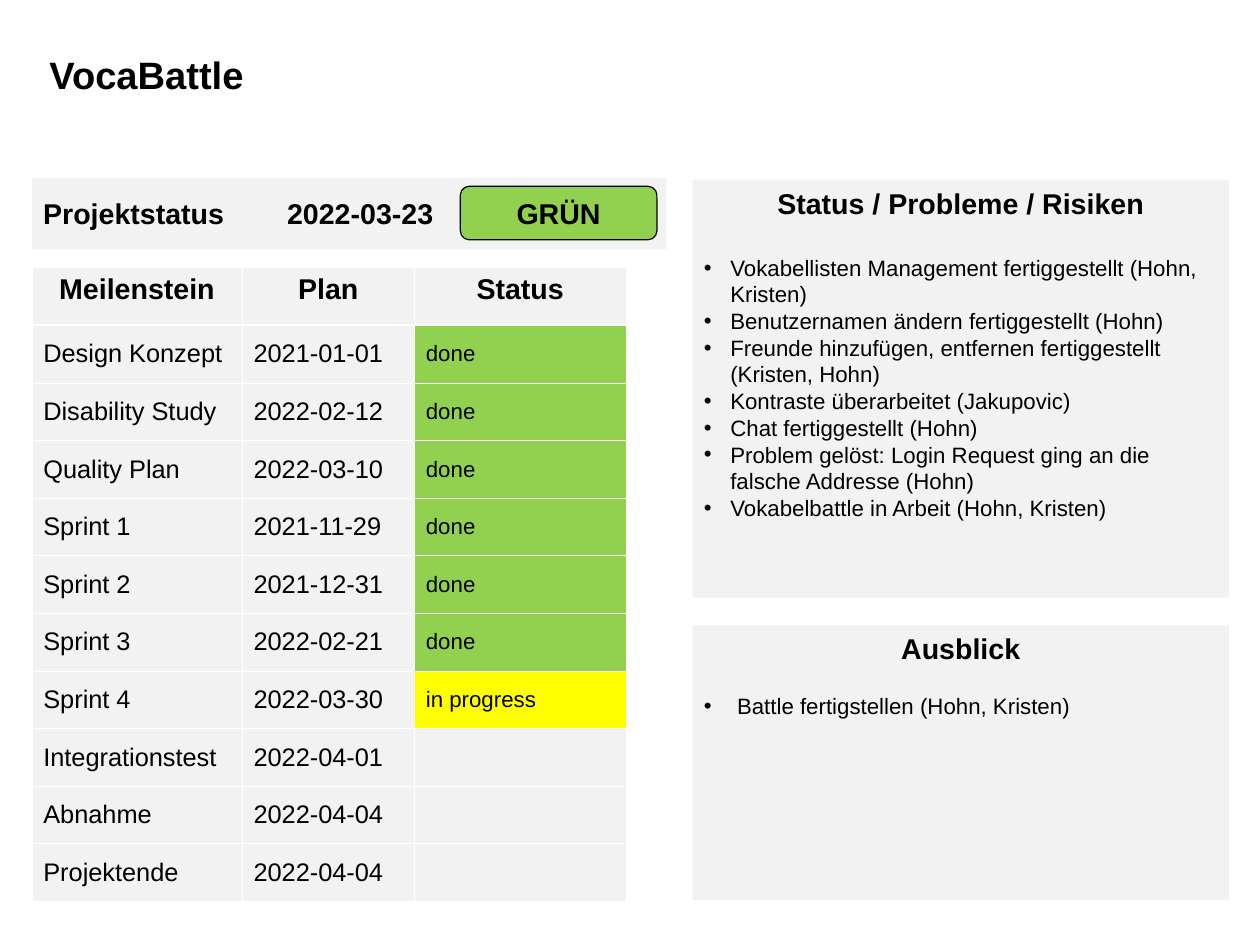
from lxml.etree import SubElement
from pptx import Presentation
from pptx.dml.color import RGBColor
from pptx.enum.shapes import MSO_SHAPE as Preset
from pptx.enum.text import MSO_ANCHOR as Anchor, PP_ALIGN as Align
from pptx.oxml.ns import qn
from pptx.util import Cm, Pt

COLORS = {"panel": "F2F2F2", "green": "92D050", "yellow": "FFFF00",
          "black": "000000", "white": "FFFFFF"}
STATUS_FILLS = {"done": "green", "in progress": "yellow", "": "panel"}
HEADERS = ["Meilenstein", "Plan", "Status"]
MILESTONES = [
    ("Design Konzept", "2021-01-01", "done"),
    ("Disability Study", "2022-02-12", "done"),
    ("Quality Plan", "2022-03-10", "done"),
    ("Sprint 1", "2021-11-29", "done"),
    ("Sprint 2", "2021-12-31", "done"),
    ("Sprint 3", "2022-02-21", "done"),
    ("Sprint 4", "2022-03-30", "in progress"),
    ("Integrationstest", "2022-04-01", ""),
    ("Abnahme", "2022-04-04", ""),
    ("Projektende", "2022-04-04", ""),
]
RISKS = [
    "Vokabellisten Management fertiggestellt (Hohn, Kristen)",
    "Benutzernamen ändern fertiggestellt (Hohn)",
    "Freunde hinzufügen, entfernen fertiggestellt (Kristen, Hohn)",
    "Kontraste überarbeitet (Jakupovic)",
    "Chat fertiggestellt (Hohn)",
    "Problem gelöst: Login Request ging an die falsche Addresse (Hohn)",
    "Vokabelbattle in Arbeit (Hohn, Kristen)",
]
OUTLOOK = ["Battle fertigstellen (Hohn, Kristen)"]


def color(name):
    return RGBColor.from_string(COLORS[name])


def style(paragraph, size, bold=False, align=Align.LEFT):
    paragraph.alignment = align
    font = paragraph.font
    font.name, font.size, font.bold = "Arial", Pt(size), bold
    font.color.rgb = color("black")


def add_box(slide, box, fill, preset=Preset.RECTANGLE, anchor=Anchor.MIDDLE):
    shape = slide.shapes.add_shape(preset, *map(Cm, box))
    shape.shadow.inherit = False
    shape.fill.solid()
    shape.fill.fore_color.rgb = color(fill)
    shape.line.fill.background()
    shape.text_frame.word_wrap = True
    shape.text_frame.vertical_anchor = anchor
    return shape


def add_title(slide, box, text):
    frame = slide.shapes.add_textbox(*map(Cm, box)).text_frame
    frame.word_wrap = True
    frame.vertical_anchor = Anchor.MIDDLE
    frame.margin_left = frame.margin_right = frame.margin_top = frame.margin_bottom = 0
    paragraph = frame.paragraphs[0]
    paragraph.text = text
    paragraph.line_spacing = Pt(28.2)
    style(paragraph, 24, True)


def add_status_bar(slide, box, date, status):
    left, top, width, height = box
    paragraph = add_box(slide, box, "panel").text_frame.paragraphs[0]
    paragraph.text = f"Projektstatus\t{date}"
    tabs = SubElement(paragraph._p.get_or_add_pPr(), qn("a:tabLst"))
    SubElement(tabs, qn("a:tab"), pos=str(Cm(5.42)), algn="l")
    style(paragraph, 18, True)

    badge_box = (left + width - 4.58, top + 0.19, 4.37, height - 0.4)
    badge = add_box(slide, badge_box, "green", Preset.ROUNDED_RECTANGLE)
    badge.line.color.rgb = color("black")
    badge.line.width = Pt(0.75)
    paragraph = badge.text_frame.paragraphs[0]
    paragraph.text = status
    style(paragraph, 18, True, Align.CENTER)


def add_bullet(paragraph, indent):
    properties = paragraph._p.get_or_add_pPr()
    properties.set("marL", str(Cm(indent)))
    properties.set("indent", str(-Cm(indent)))
    SubElement(properties, qn("a:buFont"), typeface="Arial")
    SubElement(properties, qn("a:buChar"), char="•")


def add_list_panel(slide, box, heading, items, gap, indent):
    frame = add_box(slide, box, "panel", anchor=Anchor.TOP).text_frame
    paragraph = frame.paragraphs[0]
    paragraph.text = heading
    style(paragraph, 18, True, Align.CENTER)
    for index, item in enumerate(items):
        paragraph = frame.add_paragraph()
        paragraph.text = item
        add_bullet(paragraph, indent)
        paragraph.space_before = Pt(0 if index else gap)
        style(paragraph, 14)


def set_border(cell, side, width):
    line = SubElement(cell._tc.get_or_add_tcPr(), qn(f"a:{side}"), w=str(Pt(width)))
    fill = SubElement(line, qn("a:solidFill"))
    SubElement(fill, qn("a:srgbClr"), val=COLORS["white"])


def fill_cell(cell, text, row, column):
    is_header = row == 0
    thick_side = {0: "lnB", 1: "lnT"}.get(row)
    for side in ("lnL", "lnR", "lnT", "lnB"):
        set_border(cell, side, 1.47 if side == thick_side else 0.45)
    is_status = column == 2 and not is_header
    cell.fill.solid()
    cell.fill.fore_color.rgb = color(STATUS_FILLS[text] if is_status else "panel")
    cell.vertical_anchor = Anchor.TOP if is_header else Anchor.MIDDLE
    paragraph = cell.text_frame.paragraphs[0]
    paragraph.text = text
    size = 18 if is_header else 14 if is_status else 16
    style(paragraph, size, is_header, Align.CENTER if is_header else Align.LEFT)


def add_milestones(slide, box, widths):
    rows = [HEADERS, *MILESTONES]
    table = slide.shapes.add_table(len(rows), len(HEADERS), *map(Cm, box)).table
    table.first_row = table.horz_banding = False
    for column, width in zip(table.columns, widths):
        column.width = Cm(width)
    for row, texts in enumerate(rows):
        table.rows[row].height = Cm(box[3] / len(rows))
        for column, text in enumerate(texts):
            fill_cell(table.cell(row, column), text, row, column)


def main():
    """Build the project status slide."""
    presentation = Presentation()
    presentation.slide_width, presentation.slide_height = Cm(28), Cm(21)
    slide = presentation.slides.add_slide(presentation.slide_layouts[6])
    add_title(slide, (1.1, 0.8, 16.46, 1.72), "VocaBattle")
    add_status_bar(slide, (0.71, 3.95, 14.1, 1.59), "2022-03-23", "GRÜN")
    widths = (4.67, 3.83, 4.7)
    add_milestones(slide, (0.71, 5.95, sum(widths), 14.08), widths)
    add_list_panel(slide, (15.39, 4, 11.92, 9.28),
                   "Status / Probleme / Risiken", RISKS, 21.5, 0.59)
    add_list_panel(slide, (15.39, 13.9, 11.92, 6.1), "Ausblick", OUTLOOK, 17, 0.74)
    presentation.save("out.pptx")


if __name__ == "__main__":
    main()
